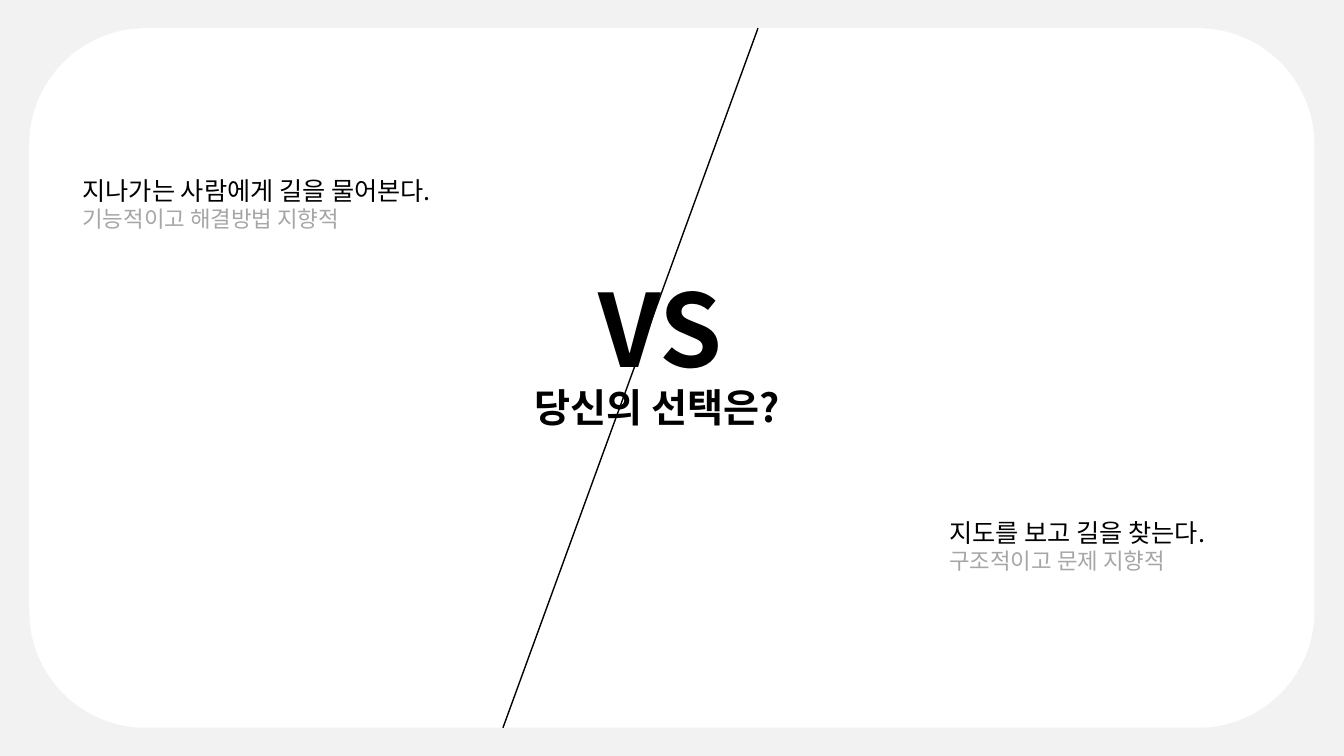
"""Build a slide that sets two ways of finding the road against each other."""
from lxml import etree
from pptx import Presentation
from pptx.dml.color import RGBColor
from pptx.enum.shapes import MSO_CONNECTOR as Connector, MSO_SHAPE as Shape
from pptx.enum.text import MSO_ANCHOR as Anchor, MSO_AUTO_SIZE as AutoSize, PP_ALIGN as Align
from pptx.oxml.ns import qn
from pptx.util import Pt

FONT = "Noto Sans CJK KR"
WIDTH, HEIGHT = 960, 540
PANEL = (20.88, 20.16, 918, 499.68)
DIVIDER_TOP, DIVIDER_BOTTOM = 541.44, 359.28
QUESTION = ("당신의 선택은?", (374.4, 270, 215.28, 41.04))
VERSUS = ("VS", (420.48, 187.2, 103.68, 94.32))
CHOICES = [
    ("지나가는 사람에게 길을 물어본다.", "기능적이고 해결방법 지향적", (51.84, 121.68, 292.32, 48.24)),
    ("지도를 보고 길을 찾는다.", "구조적이고 문제 지향적", (671.04, 365.76, 219.6, 48.24)),
]


def color(value):
    return RGBColor.from_string(value)


def points(box):
    return [Pt(length) for length in box]


def prepare(shape, wrap=False):
    frame = shape.text_frame
    frame.word_wrap = wrap
    frame.auto_size = AutoSize.SHAPE_TO_FIT_TEXT
    frame.vertical_anchor = Anchor.TOP
    return frame


def write(paragraph, text, size=18, fill="000000", bold=False):
    paragraph.alignment = Align.LEFT
    paragraph.line_spacing = 1.0
    paragraph.space_before = Pt(0)
    run = paragraph.add_run()
    run.text = text
    run.font.size = Pt(size)
    run.font.bold = bold
    run.font.name = FONT
    run.font.color.rgb = color(fill)
    east_asian = etree.SubElement(run.font._element, qn("a:ea"))
    east_asian.set("typeface", FONT)


def main():
    presentation = Presentation()
    presentation.slide_width, presentation.slide_height = Pt(WIDTH), Pt(HEIGHT)
    slide = presentation.slides.add_slide(presentation.slide_layouts[5])
    slide.background.fill.solid()
    slide.background.fill.fore_color.rgb = color("F2F2F2")

    panel = slide.shapes.add_shape(Shape.ROUNDED_RECTANGLE, *points(PANEL))
    panel.shadow.inherit = False
    panel.fill.solid()
    panel.fill.fore_color.rgb = color("FFFFFF")
    panel.line.fill.background()

    top, bottom = PANEL[1], PANEL[1] + PANEL[3]
    ends = points((DIVIDER_TOP, top, DIVIDER_BOTTOM, bottom))
    divider = slide.shapes.add_connector(Connector.STRAIGHT, *ends)
    divider.line.color.rgb = color("000000")
    divider.line.width = Pt(1)
    etree.SubElement(divider._element.spPr, qn("a:effectLst"))

    for choice, trait, box in CHOICES:
        frame = prepare(slide.shapes.add_textbox(*points(box)))
        write(frame.paragraphs[0], choice)
        write(frame.add_paragraph(), trait, size=16, fill="A6A6A6")

    text, box = VERSUS
    frame = prepare(slide.shapes.add_textbox(*points(box)))
    write(frame.paragraphs[0], text, size=72, bold=True)

    text, box = QUESTION
    title = slide.shapes.title
    title.left, title.top, title.width, title.height = points(box)
    write(prepare(title, wrap=True).paragraphs[0], text, size=28, bold=True)
    slide.shapes._spTree.append(title._element)

    presentation.save("out.pptx")


if __name__ == "__main__":
    main()
